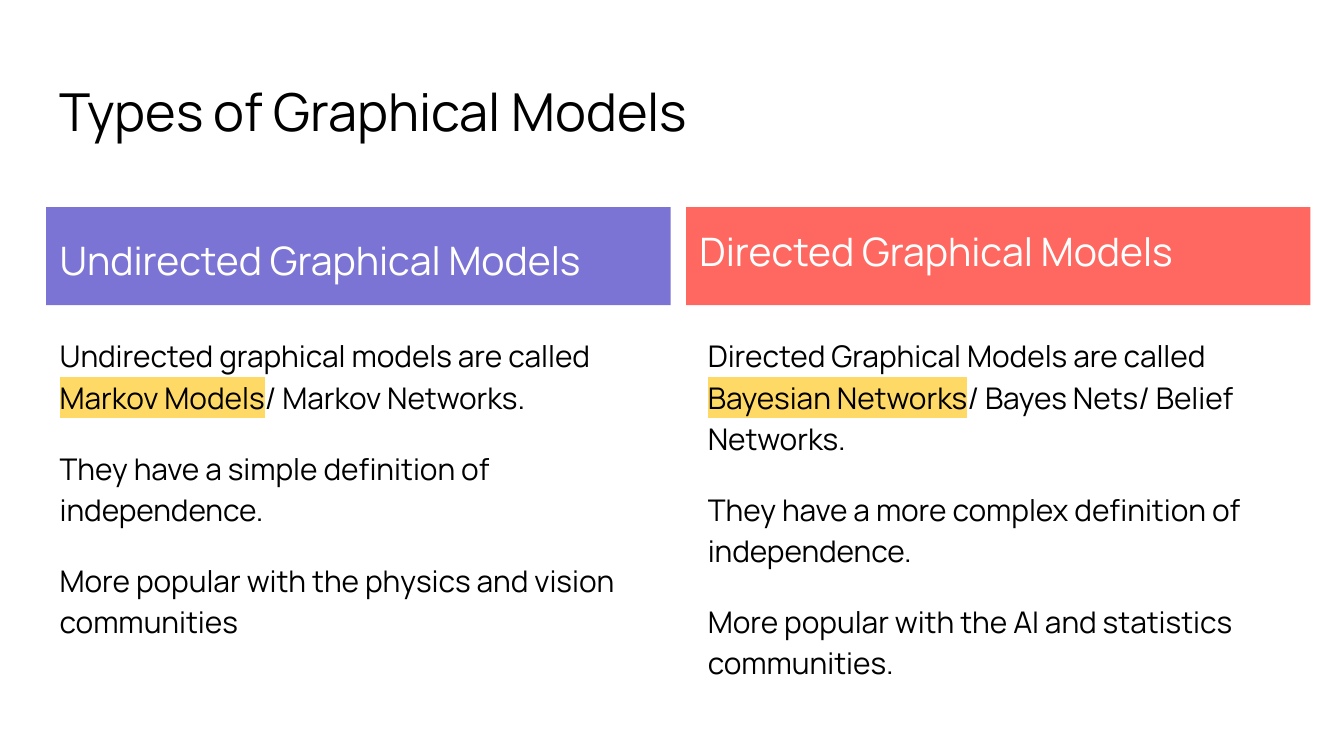
"""Build a slide that compares undirected and directed graphical models."""
from lxml.etree import SubElement
from pptx import Presentation
from pptx.dml.color import RGBColor
from pptx.enum.text import MSO_ANCHOR, MSO_AUTO_SIZE, PP_ALIGN
from pptx.oxml.ns import qn
from pptx.util import Emu, Pt

PX = 9525
FONT = "Manrope"
BLACK = RGBColor(0x00, 0x00, 0x00)
WHITE = RGBColor(0xFF, 0xFF, 0xFF)
PURPLE = RGBColor(0x7B, 0x74, 0xD4)
CORAL = RGBColor(0xFF, 0x68, 0x60)
YELLOW = RGBColor(0xFF, 0xD9, 0x66)

UNDIRECTED = [
    ["Undirected graphical models are called ", ("Markov Models", YELLOW), "/ Markov Networks."],
    ["They have a simple definition of independence."],
    ["More popular with the physics and vision communities"],
]
DIRECTED = [
    ["Directed Graphical Models are called ", ("Bayesian Networks", YELLOW),
     "/ Bayes Nets/ Belief Networks."],
    ["They have a more complex definition of independence."],
    ["More popular with the AI and statistics communities."],
]


def place(box, left, top, width, height, anchor=MSO_ANCHOR.TOP):
    box.left, box.top = Emu(left * PX), Emu(top * PX)
    box.width, box.height = Emu(width * PX), Emu(height * PX)
    frame = box.text_frame
    frame.word_wrap = True
    frame.auto_size = MSO_AUTO_SIZE.NONE
    frame.vertical_anchor = anchor
    frame.margin_left = frame.margin_right = Pt(7.2)
    frame.margin_top = frame.margin_bottom = Pt(7.2)
    return frame


def add_span(para, text, size, color=BLACK, highlight=None):
    span = para.add_run()
    span.text = text
    span.font.size = Pt(size)
    span.font.bold = False
    span.font.color.rgb = color
    if highlight is not None:
        mark = SubElement(span._r.get_or_add_rPr(), qn("a:highlight"))
        SubElement(mark, qn("a:srgbClr"), val=str(highlight))
    span.font.name = FONT


def format_para(para, line_spacing=1.15, before=0, after=0):
    para.alignment = PP_ALIGN.LEFT
    para.line_spacing = line_spacing
    para.space_before = Pt(before)
    para.space_after = Pt(after)
    properties = para._p.get_or_add_pPr()
    properties.set("marL", "0")
    properties.set("indent", "0")
    SubElement(properties, qn("a:buNone"))


def fill_title(box, text):
    para = place(box, 33, 47, 895, 60).paragraphs[0]
    format_para(para, line_spacing=1.0)
    add_span(para, text, 28)


def fill_header(box, text, left, color, anchor=MSO_ANCHOR.TOP, after=0):
    para = place(box, left, 148, 446, 70, anchor).paragraphs[0]
    box.fill.solid()
    box.fill.fore_color.rgb = color
    format_para(para, after=after)
    add_span(para, text, 21, WHITE)


def fill_body(box, paragraphs, left, width):
    frame = place(box, left, 228, width, 279)
    for index, parts in enumerate(paragraphs):
        para = frame.add_paragraph() if index else frame.paragraphs[0]
        format_para(para, before=16 if index else 0)
        for part in parts:
            text, highlight = (part, None) if isinstance(part, str) else part
            add_span(para, text, 16, highlight=highlight)


def main():
    deck = Presentation()
    deck.slide_width, deck.slide_height = Emu(960 * PX), Emu(540 * PX)
    page = deck.slides.add_slide(deck.slide_layouts.get_by_name("Comparison"))
    title, left_header, left_body, right_header, right_body = page.placeholders
    fill_title(title, "Types of Graphical Models")
    fill_header(left_header, "Undirected Graphical Models", 33, PURPLE,
                anchor=MSO_ANCHOR.MIDDLE, after=16)
    fill_header(right_header, "Directed Graphical Models", 490, CORAL)
    fill_body(left_body, UNDIRECTED, 33, 446)
    fill_body(right_body, DIRECTED, 496, 426)
    deck.save("out.pptx")


if __name__ == "__main__":
    main()
